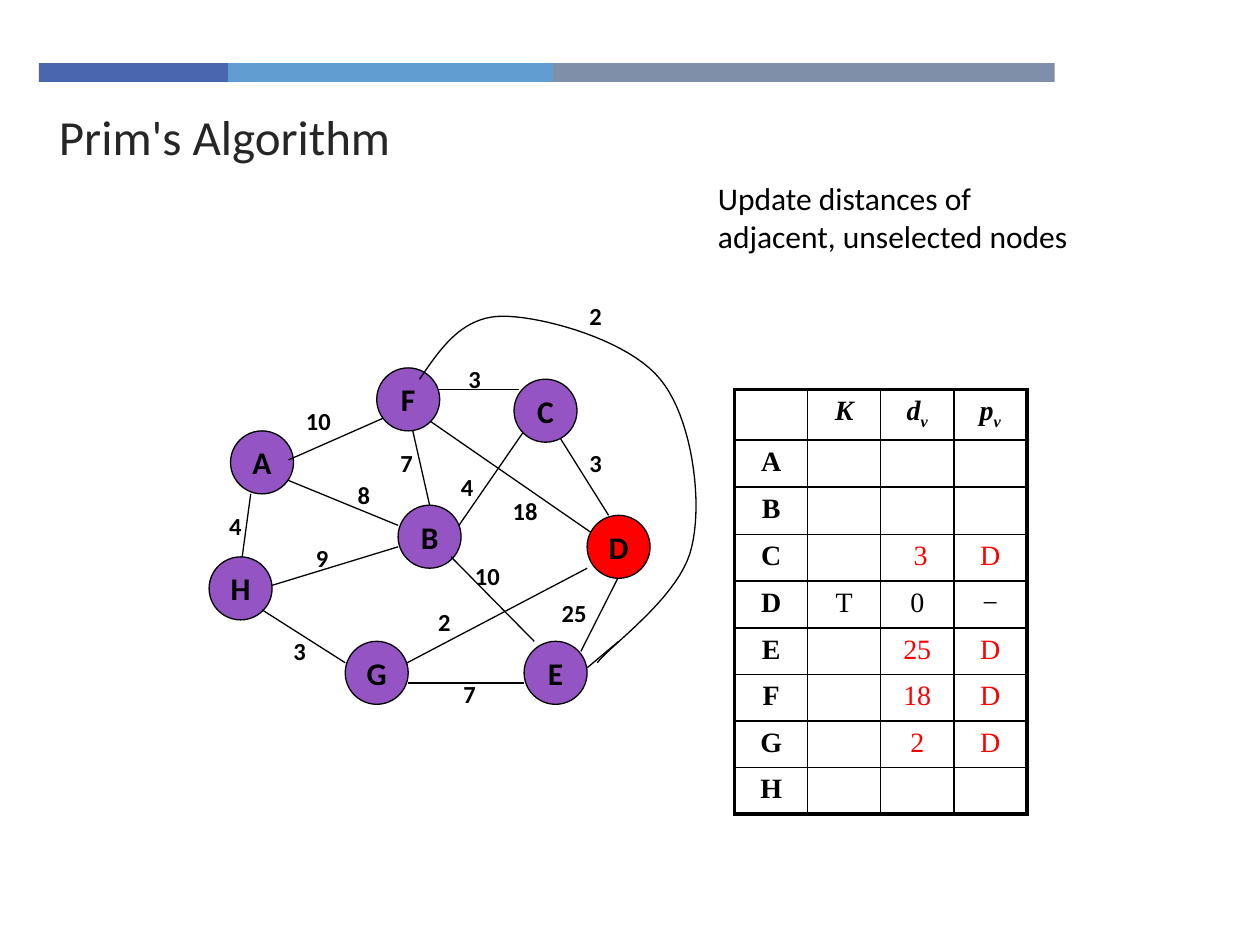
from lxml import etree
from pptx import Presentation
from pptx.dml.color import RGBColor
from pptx.enum.shapes import MSO_CONNECTOR, MSO_SHAPE
from pptx.enum.text import MSO_ANCHOR, PP_ALIGN
from pptx.oxml.ns import qn
from pptx.util import Inches, Pt

CENTER = PP_ALIGN.CENTER
MIDDLE = MSO_ANCHOR.MIDDLE
STRAIGHT = MSO_CONNECTOR.STRAIGHT
OVAL = MSO_SHAPE.OVAL
RECTANGLE = MSO_SHAPE.RECTANGLE
COLORS = {"black": "000000", "title": "262626", "red": "FF0000", "node": "9454C3",
          "navy": "4A66AC", "sky": "629DD1", "slate": "7F8FA9"}
RGB = {name: RGBColor.from_string(value) for name, value in COLORS.items()}

prs = Presentation()
prs.slide_width, prs.slide_height = Inches(10), Inches(7.5)
slide = prs.slides.add_slide(prs.slide_layouts[6])
shapes = slide.shapes


def add_text(text, left, top, width, height, size, color="black", bold=False):
    frame = shapes.add_textbox(Inches(left), Inches(top), Inches(width), Inches(height)).text_frame
    frame.word_wrap = True
    frame.text = text
    font = frame.paragraphs[0].runs[0].font
    font.name, font.size, font.bold = "Calibri", Pt(size), bold
    font.color.rgb = RGB[color]


def add_edges(edges):
    for ends in edges:
        edge = shapes.add_connector(STRAIGHT, *[Inches(value) for value in ends])
        edge.line.color.rgb = RGB["black"]
        edge.line.width = Pt(0.75)
        etree.SubElement(edge._element.spPr, qn("a:effectLst"))


band_left = 0.31
for color, width in [("navy", 1.5), ("sky", 2.58), ("slate", 3.98)]:
    band = shapes.add_shape(RECTANGLE, Inches(band_left), Inches(0.5), Inches(width), Inches(0.15))
    band.shadow.inherit = False
    band.fill.solid()
    band.fill.fore_color.rgb = RGB[color]
    band.line.fill.background()
    band_left += width

add_text("Prim's Algorithm", 0.37, 0.8, 7.16, 0.54, 28, "title")
add_text("Update distances of adjacent, unselected nodes", 5.6, 1.37, 3.17, 0.77, 18)

add_edges([
    (5.03, 4.34, 4.61, 5.17), (3.24, 3.26, 3.41, 4.01), (3.58, 4.26, 4.16, 3.42),
    (4.74, 4.26, 3.41, 3.34), (2.08, 4.67, 3.16, 4.34), (3.08, 5.34, 4.66, 4.51),
    (1.91, 4.51, 1.99, 3.92), (2.16, 3.76, 3.16, 4.17), (3.46, 3.09, 4.12, 3.09),
    (4.41, 3.42, 4.83, 4.09),
])

nodes = {"A": (1.83, 3.42), "H": (1.66, 4.42), "B": (3.16, 4.01), "F": (2.99, 2.92),
         "E": (4.16, 5.09), "D": (4.66, 4.09), "C": (4.08, 3.01), "G": (2.74, 5.09)}
for name, (left, top) in nodes.items():
    node = shapes.add_shape(OVAL, Inches(left), Inches(top), Inches(0.5), Inches(0.5))
    node.shadow.inherit = False
    node.fill.solid()
    node.fill.fore_color.rgb = RGB["red" if name == "D" else "node"]
    node.line.color.rgb = RGB["black"]
    node.line.width = Pt(0.75)
    frame = node.text_frame
    frame.word_wrap = False
    frame.vertical_anchor = MIDDLE
    frame.text = name
    frame.paragraphs[0].alignment = CENTER
    font = frame.paragraphs[0].runs[0].font
    font.name, font.size, font.bold = "Calibri", Pt(18), True
    font.color.rgb = RGB["black"]

add_edges([
    (3.58, 4.42, 4.24, 5.09), (4.16, 5.42, 3.24, 5.42), (2.74, 5.26, 2.08, 4.84),
    (2.29, 3.65, 3.04, 3.32), (4.91, 5.09, 4.66, 5.3),
])

weights = [
    ("4", 1.72, 4.01), ("25", 4.36, 4.7), ("7", 3.58, 5.34), ("2", 3.38, 4.77),
    ("10", 3.67, 4.4), ("18", 3.97, 3.89), ("3", 4.58, 3.51), ("4", 3.56, 3.7),
    ("3", 3.62, 2.84), ("7", 3.08, 3.51), ("8", 2.74, 3.76), ("9", 2.41, 4.26),
    ("3", 2.23, 5), ("10", 2.33, 3.17), ("2", 4.58, 2.34),
]
for weight, left, top in weights:
    add_text(weight, left, top, 0.52 if len(weight) > 1 else 0.33, 0.33, 14, bold=True)

start = (3.33, 3.01)
curves = [
    ((3.5, 2.76), (3.67, 2.51), (3.99, 2.51)),
    ((4.31, 2.51), (4.99, 2.7), (5.24, 3.01)),
    ((5.49, 3.31), (5.58, 3.97), (5.49, 4.34)),
    ((5.41, 4.72), (4.87, 5.1), (4.74, 5.26)),
]
steps = 20
arc_points = []
corner = start
for bend_out, bend_in, end in curves:
    for step in range(1, steps + 1):
        t = step / steps
        arc_points.append(tuple(
            Inches((1 - t) ** 3 * a + 3 * (1 - t) ** 2 * t * b + 3 * (1 - t) * t ** 2 * c + t ** 3 * d)
            for a, b, c, d in zip(corner, bend_out, bend_in, end)))
    corner = end
builder = shapes.build_freeform(Inches(start[0]), Inches(start[1]))
builder.add_line_segments(arc_points, close=False)
arc = builder.convert_to_shape()
arc.shadow.inherit = False
arc.fill.background()
arc.line.color.rgb = RGB["black"]
arc.line.width = Pt(0.75)

rows = [
    ["", "K", "dv", "pv"],
    ["A", "", "", ""],
    ["B", "", "", ""],
    ["C", "", " 3", "D"],
    ["D", "T", "0", "−"],
    ["E", "", "25", "D"],
    ["F", "", "18", "D"],
    ["G", "", "2", "D"],
    ["H", "", "", ""],
]
row_heights = [0.4, 0.37, 0.38] + [0.37] * 6
distances = shapes.add_table(len(rows), 4, Inches(5.83), Inches(3.09),
                             Inches(2.33), Inches(sum(row_heights))).table
distances.first_row = distances.horz_banding = False
for column in distances.columns:
    column.width = Inches(0.58)
for row, height in zip(distances.rows, row_heights):
    row.height = Inches(height)

for r, values in enumerate(rows):
    for c, value in enumerate(values):
        cell = distances.cell(r, c)
        cell.fill.background()
        cell.margin_top = cell.margin_bottom = Inches(0.05 if value else 0)
        paragraph = cell.text_frame.paragraphs[0]
        paragraph.alignment = CENTER
        is_header = r == 0
        pieces = list(value) if is_header else [value] if value else []
        for position, piece in enumerate(pieces):
            run = paragraph.add_run()
            run.text = piece
            font = run.font
            font.name, font.size = "Times New Roman", Pt(16)
            font.bold, font.italic = is_header or c == 0, is_header
            font.color.rgb = RGB["red" if c > 1 and r > 0 and rows[r][0] != "D" else "black"]
            if position:
                font._element.set("baseline", "-25000")
        outer = {"lnL": c == 0, "lnR": c == 3, "lnT": r == 0, "lnB": r == len(rows) - 1}
        properties = cell._tc.get_or_add_tcPr()
        for order, (side, is_outer) in enumerate(outer.items()):
            border = etree.Element(qn(f"a:{side}"), w=str(Pt(2.25 if is_outer else 1)))
            fill = etree.SubElement(border, qn("a:solidFill"))
            etree.SubElement(fill, qn("a:srgbClr"), val=COLORS["black"])
            properties.insert(order, border)

prs.save("out.pptx")
